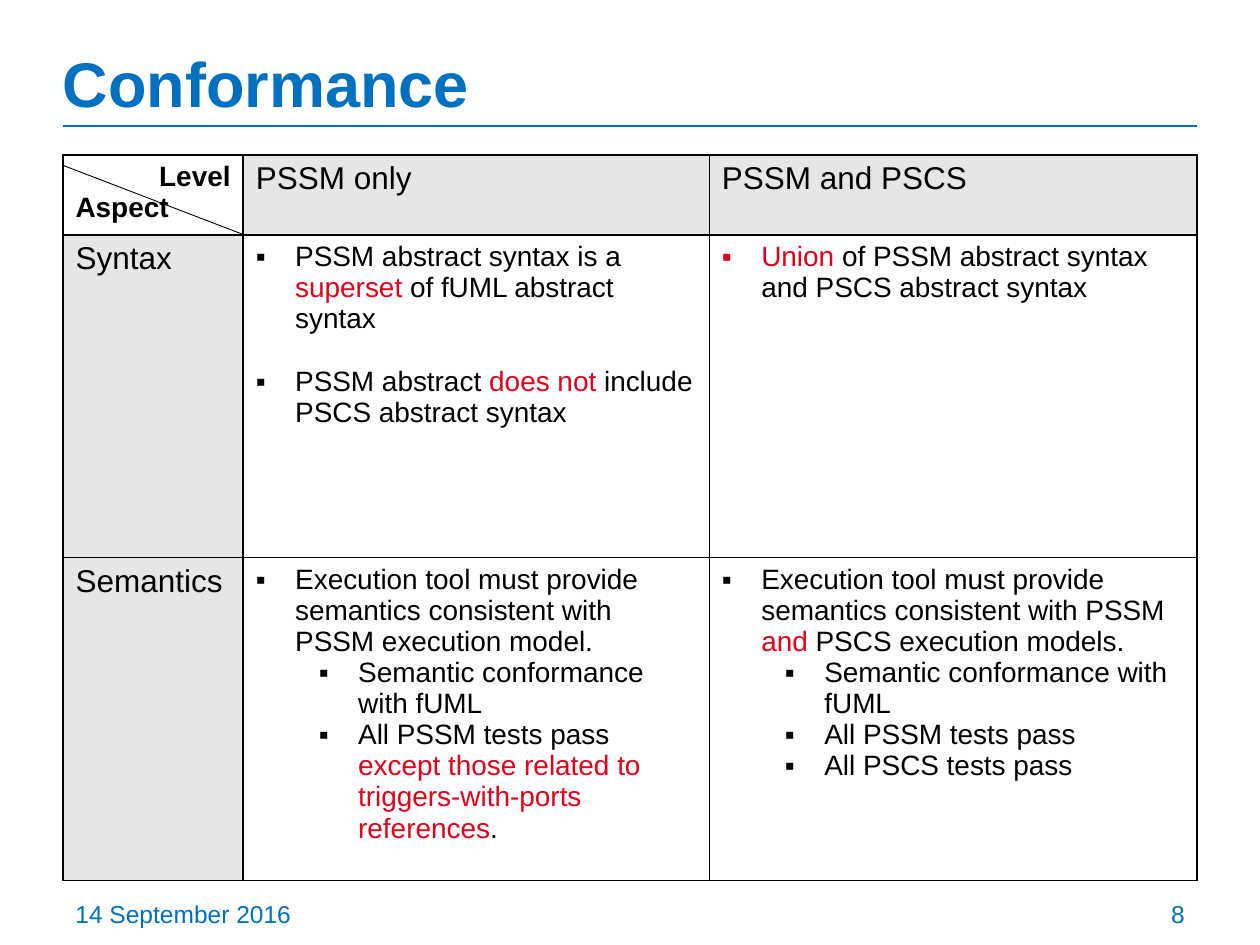
from dataclasses import dataclass

from lxml import etree
from pptx import Presentation
from pptx.dml.color import RGBColor
from pptx.enum.shapes import MSO_CONNECTOR
from pptx.enum.text import MSO_ANCHOR, PP_ALIGN
from pptx.oxml.ns import qn
from pptx.util import Pt

BLUE = RGBColor(0x00, 0x70, 0xC0)
BLACK = RGBColor(0x00, 0x00, 0x00)
WHITE = RGBColor(0xFF, 0xFF, 0xFF)
GREY = RGBColor(0xE6, 0xE6, 0xE6)
RED = RGBColor(0xE6, 0x00, 0x19)
LEFT, RIGHT = PP_ALIGN.LEFT, PP_ALIGN.RIGHT
TOP, BOTTOM = MSO_ANCHOR.TOP, MSO_ANCHOR.BOTTOM
STRAIGHT = MSO_CONNECTOR.STRAIGHT
HANG = 22.5
STEP = 36


@dataclass
class Para:
    text: str  # parts between asterisks are red
    size: float = 16
    level: int = -1  # -1 means no bullet
    align: PP_ALIGN = LEFT
    bold: bool = False
    color: RGBColor = BLACK
    gap: float = 0


@dataclass
class Box:
    x: float
    y: float
    w: float
    h: float
    para: Para
    inset: float = 7.2
    anchor: MSO_ANCHOR = TOP


@dataclass
class Line:
    x1: float
    y1: float
    x2: float
    y2: float
    color: RGBColor
    width: float


def add_bullet(para, level: int) -> None:
    props = para._p.get_or_add_pPr()
    props.set("marL", str(Pt(HANG + STEP * level)))
    props.set("indent", str(Pt(-HANG)))
    etree.SubElement(props, qn("a:buFont")).set("typeface", "Arial")
    etree.SubElement(props, qn("a:buChar")).set("char", "▪")


def write(frame, items: list[Para]) -> None:
    for i, item in enumerate(items):
        para = frame.add_paragraph() if i else frame.paragraphs[0]
        para.alignment = item.align
        if item.gap:
            para.space_before = Pt(item.gap)
        if item.level >= 0:
            para.level = item.level
            add_bullet(para, item.level)
        for j, part in enumerate(item.text.split("*")):
            if not part:
                continue
            run = para.add_run()
            run.text = part
            style = {"name": "Arial", "size": Pt(item.size), "bold": item.bold}
            for key, value in style.items():
                setattr(run.font, key, value)
            run.font.color.rgb = RED if j % 2 else item.color


def draw_box(slide, box: Box) -> None:
    shape = slide.shapes.add_textbox(Pt(box.x), Pt(box.y), Pt(box.w), Pt(box.h))
    frame = shape.text_frame
    style = {"word_wrap": True, "vertical_anchor": box.anchor,
             "margin_left": Pt(box.inset)}
    for key, value in style.items():
        setattr(frame, key, value)
    write(frame, [box.para])


def draw_line(slide, line: Line) -> None:
    ends = (Pt(v) for v in (line.x1, line.y1, line.x2, line.y2))
    shape = slide.shapes.add_connector(STRAIGHT, *ends)
    shape.line.color.rgb = line.color
    shape.line.width = Pt(line.width)
    etree.SubElement(shape._element.spPr, qn("a:effectLst"))


def add_border(cell) -> None:
    props = cell._tc.get_or_add_tcPr()
    for side in ("lnL", "lnR", "lnT", "lnB"):
        edge = etree.SubElement(props, qn(f"a:{side}"), w=str(Pt(1)))
        fill = etree.SubElement(edge, qn("a:solidFill"))
        etree.SubElement(fill, qn("a:srgbClr"), val=str(BLACK))


def draw_table(slide, rows: list[list[list[Para]]]) -> None:
    widths, heights = (103, 266.4, 278.6), (43, 184.5, 184.5)
    table = slide.shapes.add_table(
        len(rows), len(widths), Pt(36), Pt(88.6),
        Pt(sum(widths)), Pt(sum(heights))).table
    for flag in ("first_row", "horz_banding"):
        setattr(table, flag, False)
    for col, width in zip(table.columns, widths):
        col.width = Pt(width)
    for r, cells in enumerate(rows):
        table.rows[r].height = Pt(heights[r])
        for c, items in enumerate(cells):
            cell = table.cell(r, c)
            add_border(cell)
            cell.fill.solid()
            # Only one of row and column is zero in a heading cell
            cell.fill.fore_color.rgb = GREY if (r == 0) != (c == 0) else WHITE
            write(cell.text_frame, items)


BOXES = [
    Box(36, 24, 648, 48, Para("Conformance", 36, bold=True, color=BLUE), 0, BOTTOM),
    Box(36, 510, 168, 19, Para("14 September 2016", 14, color=BLUE)),
    Box(516, 510, 168, 19, Para("8", 14, align=RIGHT, color=BLUE)),
]
RULE = Line(36, 72, 684, 72, BLUE, 1.5)
SLASH = Line(36, 94.5, 139, 134, BLACK, 0.5)
ROWS = [
    [
        [Para("Level", align=RIGHT, bold=True), Para("Aspect", bold=True)],
        [Para("PSSM only", 18)],
        [Para("PSSM and PSCS", 18)],
    ],
    [
        [Para("Syntax", 18)],
        [Para("PSSM abstract syntax is a *superset* of fUML abstract syntax", level=0),
         Para("PSSM abstract *does not *include PSCS abstract syntax", level=0, gap=18)],
        [Para("*Union* of PSSM abstract syntax and PSCS abstract syntax", level=0)],
    ],
    [
        [Para("Semantics", 18)],
        [Para("Execution tool must provide semantics consistent with "
              "PSSM execution model.", level=0),
         Para("Semantic conformance with fUML", level=1),
         Para("All PSSM tests pass *except those related to "
              "triggers-with-ports references*.", level=1)],
        [Para("Execution tool must provide semantics consistent with PSSM "
              "*and* PSCS execution models.", level=0),
         Para("Semantic conformance with fUML", level=1),
         Para("All PSSM tests pass", level=1),
         Para("All PSCS tests pass", level=1)],
    ],
]


def main() -> None:
    deck = Presentation()
    deck.slide_width, deck.slide_height = Pt(720), Pt(540)
    slide = deck.slides.add_slide(deck.slide_layouts[6])
    # Title rule, title and footer
    draw_line(slide, RULE)
    for box in BOXES:
        draw_box(slide, box)
    # Table with its split corner cell
    draw_table(slide, ROWS)
    draw_line(slide, SLASH)
    deck.save("out.pptx")


if __name__ == "__main__":
    main()
